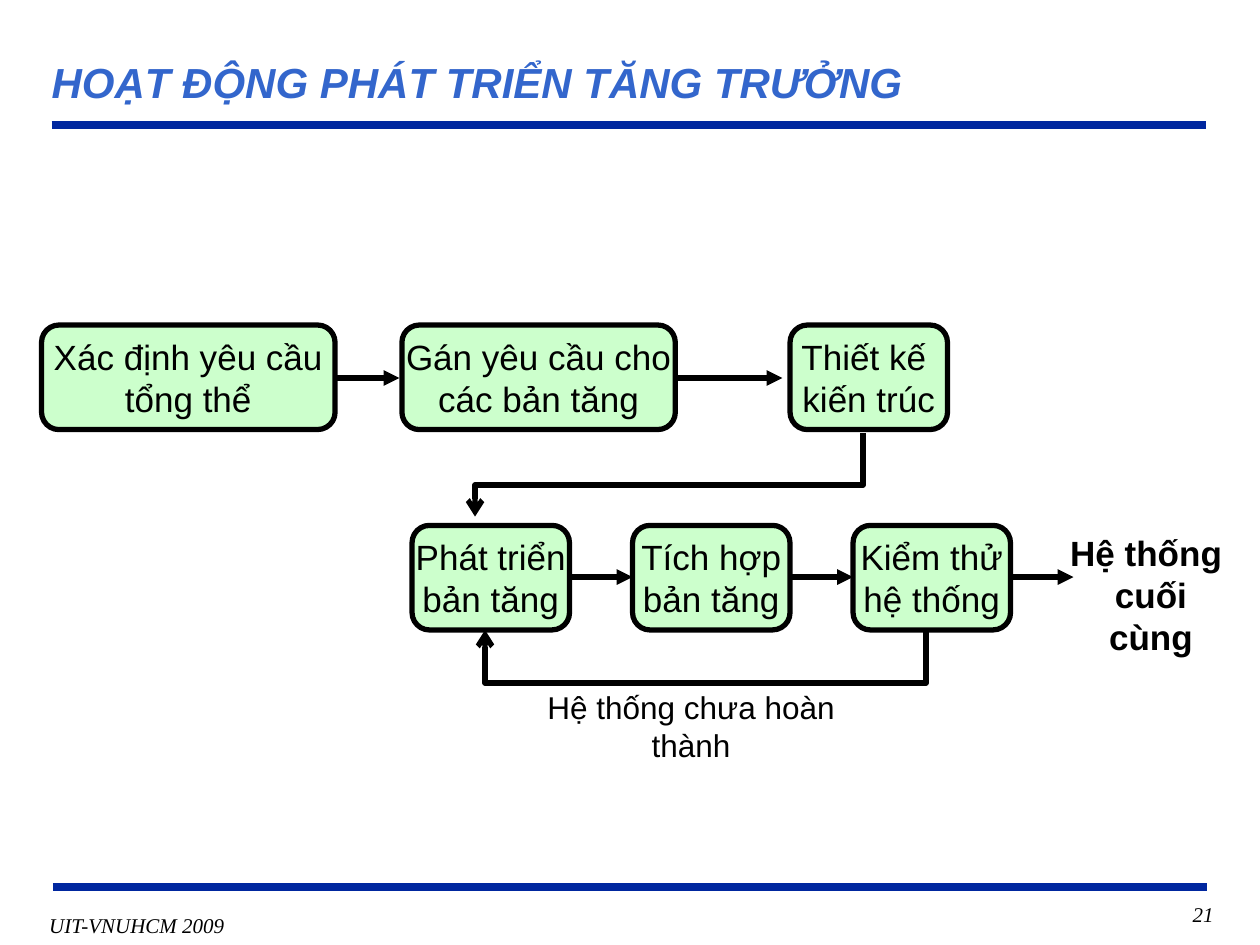
from lxml import etree
from pptx import Presentation
from pptx.dml.color import RGBColor
from pptx.enum import shapes, text
from pptx.oxml.ns import qn
from pptx.util import Inches, Pt

BLACK, GREEN, NAVY, BLUE = "000000", "CCFFCC", "00279F", "3366CC"
BOX_H = 0.83
TOP_Y, LOW_Y = 2.58, 4.17
LOW_X, LOW_W, LOW_STEP = 3.27, 1.25, 1.75
TOP_BOXES = [
    (0.33, 2.33, "Xác định yêu cầu\ntổng thể"),
    (3.19, 2.17, "Gán yêu cầu cho\ncác bản tăng"),
    (6.27, 1.25, "Thiết kế \nkiến trúc"),
]
LOW_BOXES = ["Phát triển\nbản tăng", "Tích hợp\nbản tăng", "Kiểm thử\nhệ thống"]


def color(value):
    return RGBColor.from_string(value)


def write(sp, words, size, font="Arial", fill=BLACK, bold=False, italic=False,
          align=text.PP_ALIGN.CENTER, anchor=text.MSO_ANCHOR.TOP, wrap=False):
    tf = sp.text_frame
    tf.word_wrap = wrap
    tf.vertical_anchor = anchor
    p = tf.paragraphs[0]
    p.alignment = align
    for i, line in enumerate(words.split("\n")):
        if i:
            p.add_line_break()
        r = p.add_run()
        r.text = line
        r.font.name, r.font.size = font, Pt(size)
        r.font.bold, r.font.italic = bold, italic
        r.font.color.rgb = color(fill)


def style_line(sp, width, stroke=BLACK, head=None):
    sp.line.color.rgb = color(stroke)
    sp.line.width = Pt(width)
    if head:
        etree.SubElement(sp.line._get_or_add_ln(), qn("a:tailEnd"), type=head)


def add_label(s, x, y, w, h, words, size, **style):
    sp = s.shapes.add_textbox(Inches(x), Inches(y), Inches(w), Inches(h))
    write(sp, words, size, **style)


def add_step(s, x, y, w, words):
    sp = s.shapes.add_shape(shapes.MSO_SHAPE.ROUNDED_RECTANGLE,
                            Inches(x), Inches(y), Inches(w), Inches(BOX_H))
    sp.shadow.inherit = False
    sp.fill.solid()
    sp.fill.fore_color.rgb = color(GREEN)
    style_line(sp, 3)
    write(sp, words, 20, anchor=text.MSO_ANCHOR.MIDDLE)


def add_line(s, x1, x2, y, width=3, stroke=BLACK, head=None):
    sp = s.shapes.add_connector(shapes.MSO_CONNECTOR.STRAIGHT,
                                Inches(x1), Inches(y), Inches(x2), Inches(y))
    style_line(sp, width, stroke, head)
    etree.SubElement(sp._element.spPr, qn("a:effectLst"))


def add_bent_arrow(s, points):
    start, *rest = [(Inches(x), Inches(y)) for x, y in points]
    builder = s.shapes.build_freeform(*start)
    builder.add_line_segments(rest, close=False)
    sp = builder.convert_to_shape()
    sp.shadow.inherit = False
    sp.fill.background()
    style_line(sp, 3, head="arrow")


def main():
    prs = Presentation()
    prs.slide_width, prs.slide_height = Inches(10), Inches(7.5)
    s = prs.slides.add_slide(prs.slide_layouts[5])

    # Title, rules and footer
    title = s.shapes.title
    title.left, title.top = Inches(0.31), Inches(0.26)
    title.width, title.height = Inches(9.69), Inches(0.64)
    write(title, "HOẠT ĐỘNG PHÁT TRIỂN TĂNG TRƯỞNG", 24, fill=BLUE, bold=True,
          italic=True, align=text.PP_ALIGN.LEFT,
          anchor=text.MSO_ANCHOR.BOTTOM, wrap=True)
    add_line(s, 0.41, 9.57, 0.99, 4.5, NAVY)
    add_line(s, 0.42, 9.58, 7.04, 4.5, NAVY)
    add_label(s, 0.29, 7.19, 1.59, 0.29, "UIT-VNUHCM 2009", 12,
              font="Times New Roman", italic=True)
    add_label(s, 8.48, 7.11, 1.25, 0.33, "21", 12, font="Times New Roman",
              italic=True, align=text.PP_ALIGN.RIGHT, wrap=True)

    # Planning row
    for x, w, words in TOP_BOXES:
        add_step(s, x, TOP_Y, w, words)
    for x1, x2 in [(2.67, 3.17), (5.38, 6.21)]:
        add_line(s, x1, x2, 3, head="triangle")

    # Increment row, each step followed by an arrow
    for i, words in enumerate(LOW_BOXES):
        x = LOW_X + i * LOW_STEP
        add_step(s, x, LOW_Y, LOW_W, words)
        add_line(s, x + LOW_W, x + LOW_STEP, 4.58, head="triangle")

    # Link between the rows, and the loop back
    add_bent_arrow(s, [(6.85, 3.44), (6.85, 3.85), (3.77, 3.85), (3.77, 4.1)])
    add_bent_arrow(s, [(7.35, 5), (7.35, 5.42), (3.85, 5.42), (3.85, 5)])
    add_label(s, 3.9, 5.41, 3.17, 0.4, "Hệ thống chưa hoàn thành", 18)
    add_label(s, 8.38, 4.17, 1.51, 0.77, "Hệ thống \ncuối cùng", 20, bold=True)

    prs.save("out.pptx")


if __name__ == "__main__":
    main()
